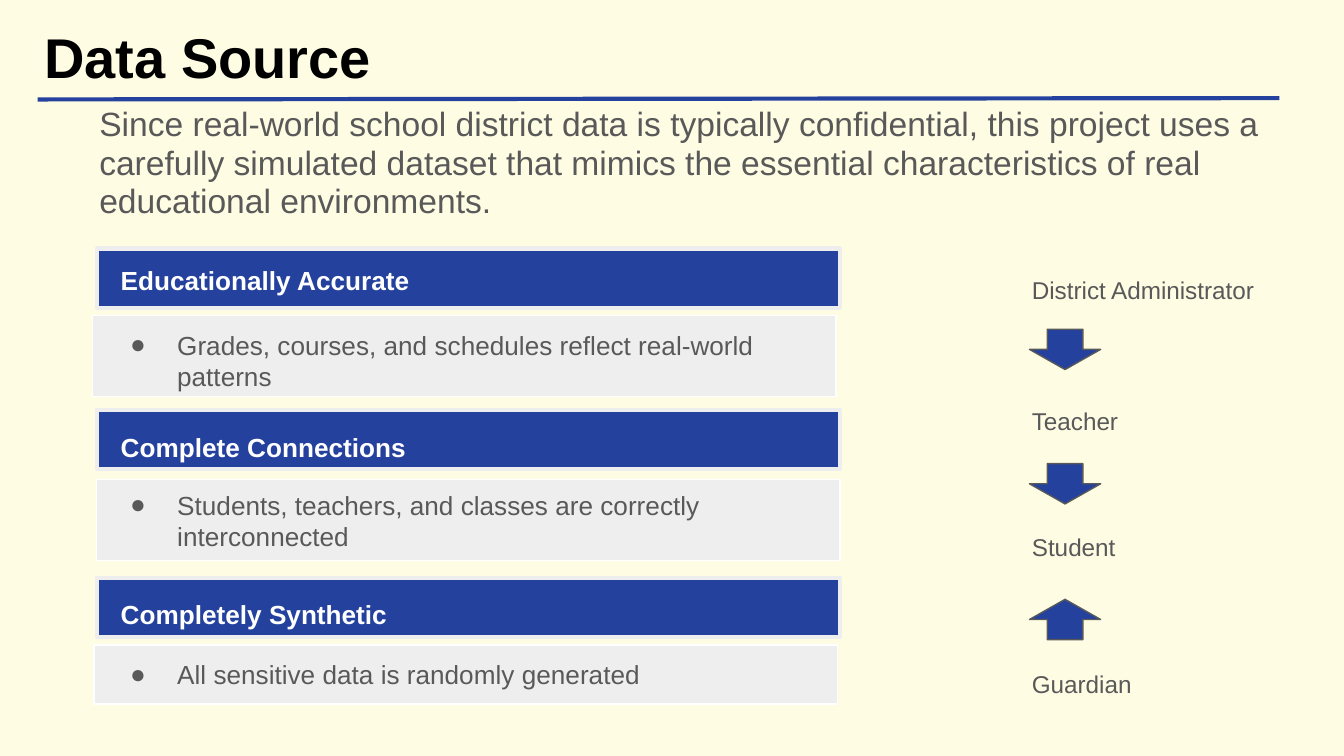
from lxml import etree
from pptx import Presentation
from pptx.dml.color import RGBColor
from pptx.enum.shapes import MSO_CONNECTOR, MSO_SHAPE
from pptx.enum.text import MSO_ANCHOR, PP_ALIGN
from pptx.oxml.ns import qn
from pptx.util import Inches, Pt

COLORS = {
    "page": "FFFCE4",
    "blue": "24419E",
    "panel": "EEEEEE",
    "white": "FFFFFF",
    "black": "000000",
    "text": "595959",
}
PAGE_WIDTH = 10
PAGE_HEIGHT = PAGE_WIDTH * 9 / 16
INSET = 0.1

# Heading, header top, header text drop, bullet, panel box, bullet text box
SECTIONS = [
    ("Educationally Accurate", 1.85, 0.02,
     "Grades, courses, and schedules reflect real-world patterns",
     (0.69, 2.35, 5.53, 0.6), (0.72, 2.35, 5.53, 0.57)),
    ("Complete Connections", 3.05, 0.06,
     "Students, teachers, and classes are correctly interconnected",
     (0.72, 3.57, 5.53, 0.6), (0.72, 3.54, 4.98, 0.67)),
    ("Completely Synthetic", 4.3, 0.05,
     "All sensitive data is randomly generated",
     (0.7, 4.8, 5.53, 0.44), (0.72, 4.8, 4.98, 0.44)),
]
ROLES = [("District Administrator", 1.95), ("Teacher", 2.92),
         ("Student", 3.86), ("Guardian", 4.88)]
ARROWS = [(MSO_SHAPE.DOWN_ARROW, 2.45), (MSO_SHAPE.DOWN_ARROW, 3.45),
          (MSO_SHAPE.UP_ARROW, 4.46)]


def color(name):
    return RGBColor.from_string(COLORS[name])


def write(shape, text, size, ink, bold=False, bullet=False):
    """Fill a shape with one left-aligned paragraph and return it."""
    frame = shape.text_frame
    frame.word_wrap = True
    frame.vertical_anchor = MSO_ANCHOR.TOP
    frame.margin_left = frame.margin_right = Inches(INSET)
    frame.margin_top = frame.margin_bottom = Inches(INSET)
    para = frame.paragraphs[0]
    para.alignment = PP_ALIGN.LEFT
    if bullet:
        add_bullet(para, ink)
    span = para.add_run()
    span.text = text
    span.font.name = "Arial"
    span.font.size = Pt(size)
    span.font.bold = bold
    span.font.color.rgb = color(ink)
    return para


def add_bullet(para, ink):
    properties = para._p.get_or_add_pPr()
    properties.set("marL", str(Inches(0.5)))
    properties.set("indent", str(Inches(-0.35)))
    bullet_color = etree.SubElement(properties, qn("a:buClr"))
    etree.SubElement(bullet_color, qn("a:srgbClr"), val=COLORS[ink])
    etree.SubElement(properties, qn("a:buFont"), typeface="Arial")
    etree.SubElement(properties, qn("a:buChar"), char="●")


def add_text(page, box, *args, **options):
    shape = page.shapes.add_textbox(*map(Inches, box))
    return write(shape, *args, **options)


def add_block(page, kind, box, fill, line, width):
    shape = page.shapes.add_shape(kind, *map(Inches, box))
    shape.shadow.inherit = False
    shape.fill.solid()
    shape.fill.fore_color.rgb = color(fill)
    shape.line.color.rgb = color(line)
    shape.line.width = Pt(width)


def add_heading(page, box):
    """Title with the rule below it."""
    left, top, width, height = box
    title = page.shapes.title
    title.left, title.top = Inches(left), Inches(top)
    title.width, title.height = Inches(width), Inches(height)
    write(title, "Data Source", 30, "black", bold=True)
    rule = page.shapes.add_connector(
        MSO_CONNECTOR.STRAIGHT, Inches(left + 0.05), Inches(top + 0.67),
        Inches(left + 9.29), Inches(top + 0.66))
    rule.line.color.rgb = color("blue")
    rule.line.width = Pt(2.25)
    etree.SubElement(rule._element.spPr, qn("a:effectLst"))


def add_intro(page, box):
    para = add_text(
        page, box,
        "Since real-world school district data is typically confidential, "
        "this project uses a carefully simulated dataset that mimics the "
        "essential characteristics of real educational environments.",
        18, "text")
    para.line_spacing = 0.95
    para.space_after = Pt(12)


def add_section(page, box, heading, drop, bullet, panel, bullet_box):
    """Blue header bar above a grey panel with one bullet."""
    left, top, width, height = box
    add_block(page, MSO_SHAPE.RECTANGLE, panel, "panel", "white", 0.75)
    add_block(page, MSO_SHAPE.RECTANGLE, box, "blue", "panel", 2.25)
    add_text(page, (left + 0.08, top + drop, 3.28, height),
             heading, 14, "white", bold=True)
    add_text(page, bullet_box, bullet, 14, "text", bullet=True)


def add_hierarchy(page, left, width):
    """Column of roles with arrows between them."""
    for role, top in ROLES:
        add_text(page, (left, top, width, 0.42), role, 13, "text")
    for kind, top in ARROWS:
        add_block(page, kind, (left + 0.08, top, 0.53, 0.3),
                  "blue", "text", 0.75)


def main():
    deck = Presentation()
    deck.slide_width = Inches(PAGE_WIDTH)
    deck.slide_height = Inches(PAGE_HEIGHT)
    page = deck.slides.add_slide(deck.slide_layouts[5])
    page.background.fill.solid()
    page.background.fill.fore_color.rgb = color("page")

    add_heading(page, (0.23, 0.07, 4.67, 0.63))
    add_intro(page, (0.64, 0.69, 8.92, 1.09))
    for heading, top, drop, bullet, panel, bullet_box in SECTIONS:
        add_section(page, (0.72, top, 5.53, 0.44),
                    heading, drop, bullet, panel, bullet_box)
    add_hierarchy(page, 7.58, 2.2)
    deck.save("out.pptx")


if __name__ == "__main__":
    main()
